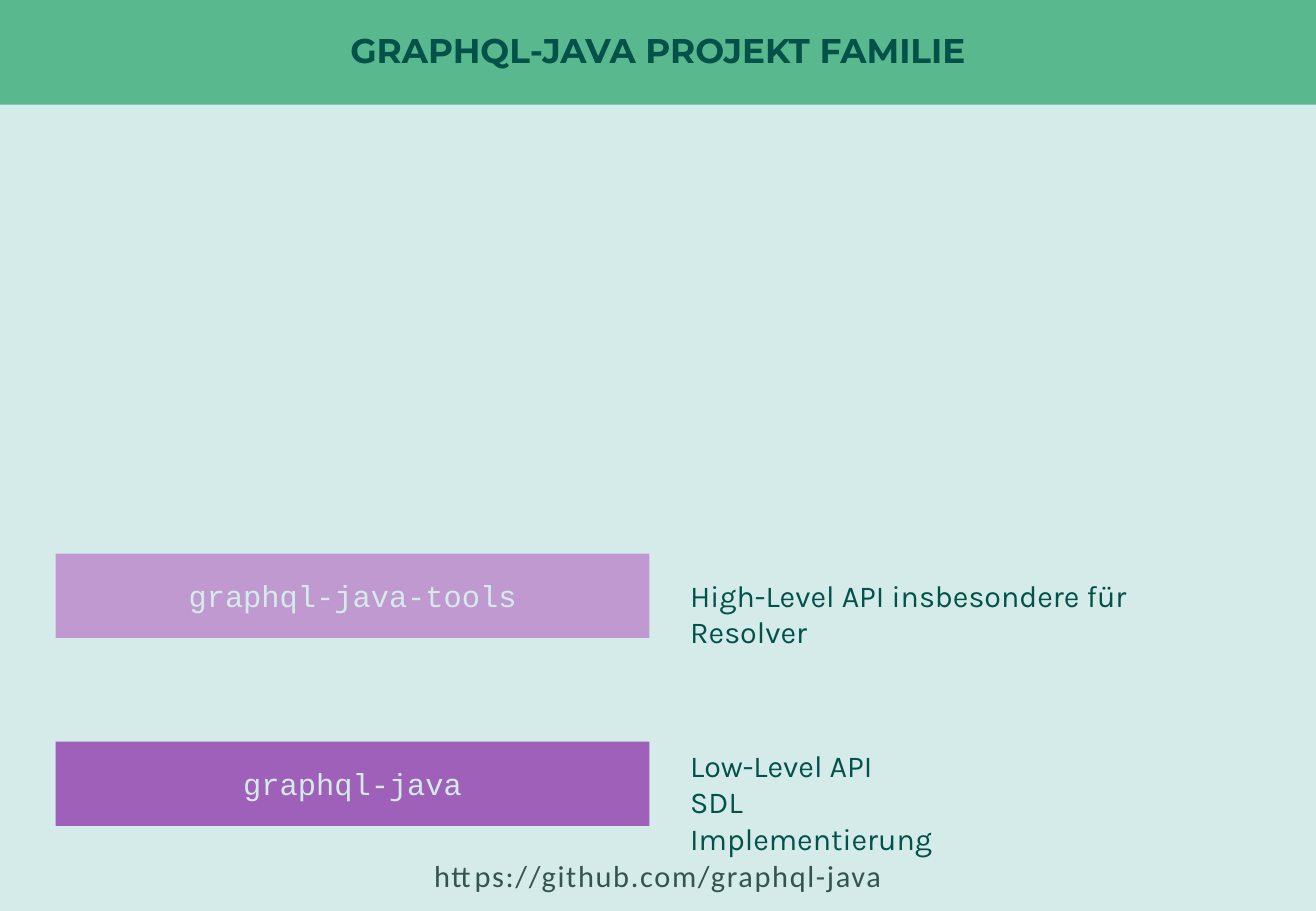
from pptx import Presentation
from pptx import util as u
from pptx.dml import color
from pptx.enum import shapes, text

COLORS = {"page": "D4EBE9", "band": "5AB88F", "dark": "025249",
          "tools": "C199D1", "core": "9E60B8", "link": "36544F"}
WIDTH, HEIGHT = 780, 540


def paint(shape, name):
    shape.shadow.inherit = False
    shape.fill.solid()
    shape.fill.fore_color.rgb = color.RGBColor.from_string(COLORS[name])
    shape.line.fill.background()


def write(shape, lines, size, face, name, align, bold=False):
    frame = shape.text_frame
    frame.word_wrap = True
    frame.text = "\n".join(lines)
    for para in frame.paragraphs:
        para.alignment = align
        para.font.size = u.Pt(size)
        para.font.name = face
        para.font.bold = bold
        para.font.color.rgb = color.RGBColor.from_string(COLORS[name])
    return frame


deck = Presentation()
deck.slide_width, deck.slide_height = u.Pt(WIDTH), u.Pt(HEIGHT)
slide = deck.slides.add_slide(deck.slide_layouts[6])
slide.background.fill.solid()
slide.background.fill.fore_color.rgb = color.RGBColor.from_string(COLORS["page"])
left, center = text.PP_ALIGN.LEFT, text.PP_ALIGN.CENTER
rect = shapes.MSO_SHAPE.RECTANGLE

band = slide.shapes.add_shape(rect, 0, 0, u.Pt(WIDTH), u.Pt(62))
paint(band, "band")
title = write(band, ["GRAPHQL-JAVA PROJEKT FAMILIE"], 20.3, "Montserrat", "dark", center, True)
title.margin_left = title.margin_top = title.margin_right = title.margin_bottom = 0
title.vertical_anchor = text.MSO_ANCHOR.MIDDLE
title.paragraphs[0].line_spacing = 0.9

layers = [
    ("graphql-java-tools", "tools", 328.2, 338.4, 324, 29,
     ["High-Level API insbesondere für Resolver"]),
    ("graphql-java", "core", 439.6, 439.2, 180, 51,
     ["Low-Level API", "SDL Implementierung"]),
]
for label, fill, top, start, wide, high, notes in layers:
    box = slide.shapes.add_shape(rect, u.Pt(33), u.Pt(top), u.Pt(352), u.Pt(50))
    paint(box, fill)
    frame = write(box, [label], 18, "Courier New", "page", center)
    frame.vertical_anchor = text.MSO_ANCHOR.MIDDLE
    note = slide.shapes.add_textbox(u.Pt(402), u.Pt(start), u.Pt(wide), u.Pt(high))
    write(note, notes, 18, "Karla", "dark", left)

link = slide.shapes.add_textbox(u.Pt(247.8), u.Pt(504.8), u.Pt(284.4), u.Pt(29))
frame = write(link, ["https://github.com/graphql-java"], 18, "Calibri", "link", center)
frame.paragraphs[0].runs[0]._r.get_or_add_rPr().set("spc", "100")

deck.save("out.pptx")
